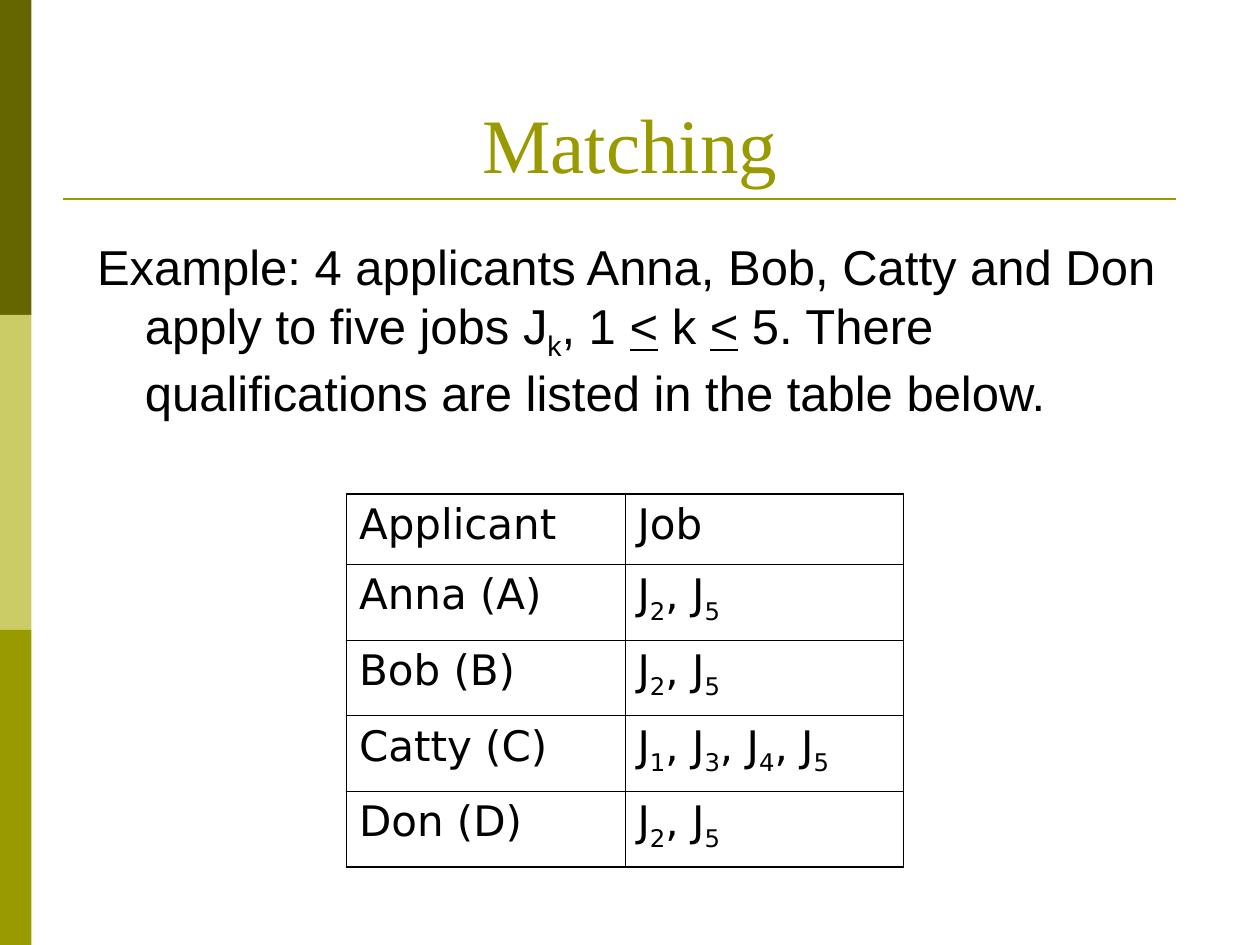
from lxml import etree
from pptx import Presentation
from pptx.dml.color import RGBColor
from pptx.enum.shapes import MSO_CONNECTOR, MSO_SHAPE
from pptx.enum.text import MSO_ANCHOR, MSO_AUTO_SIZE, PP_ALIGN
from pptx.oxml.ns import qn
from pptx.util import Inches, Pt

RECTANGLE = MSO_SHAPE.RECTANGLE
STRAIGHT = MSO_CONNECTOR.STRAIGHT
BLACK = RGBColor(0x00, 0x00, 0x00)
DARK_OLIVE = RGBColor(0x66, 0x66, 0x00)
LIGHT_OLIVE = RGBColor(0xCC, 0xCC, 0x66)
OLIVE = RGBColor(0x99, 0x99, 0x00)

TITLE = "Matching"
PLAIN, SUBSCRIPT, UNDERLINED = "plain", "subscript", "underlined"
EXAMPLE = [
    ("Example: 4 applicants Anna, Bob, Catty and Don apply to five jobs J", PLAIN),
    ("k", SUBSCRIPT),
    (", 1 ", PLAIN),
    ("<", UNDERLINED),
    (" k ", PLAIN),
    ("<", UNDERLINED),
    (" 5. There qualifications are listed in the table below.", PLAIN),
]
HEADERS = ["Applicant", "Job"]
QUALIFICATIONS = [
    ("Anna (A)", [2, 5]),
    ("Bob (B)", [2, 5]),
    ("Catty (C)", [1, 3, 4, 5]),
    ("Don (D)", [2, 5]),
]

TITLE_FONT = {"name": "Times New Roman", "size": Pt(44)}
BODY_FONT = {"name": "Arial", "size": Pt(28)}
TABLE_FONT = {"name": "DejaVu Sans", "size": Pt(24)}
SIDE_BANDS = [DARK_OLIVE, LIGHT_OLIVE, OLIVE]
BAND_WIDTH, BAND_HEIGHT = 0.25, 2.5
COLUMN_WIDTH, HEADER_HEIGHT, ROW_HEIGHT = 2.21, 0.56, 0.6
OUTER_LINE, INNER_LINE = Pt(1.08), Pt(0.45)


def add_runs(paragraph, runs, font_format, color):
    paragraph.space_before = Pt(0)
    for text, style in runs:
        run = paragraph.add_run()
        run.text = text
        for name, value in font_format.items():
            setattr(run.font, name, value)
        run.font.color.rgb = color
        if style == SUBSCRIPT:
            run.font._element.set("baseline", "-25000")
        elif style == UNDERLINED:
            run.font.underline = True


def place(shape, left, top, width, height):
    shape.left, shape.top = Inches(left), Inches(top)
    shape.width, shape.height = Inches(width), Inches(height)


def job_runs(jobs):
    runs = []
    for position, job in enumerate(jobs):
        runs += [(", J" if position else "J", PLAIN), (str(job), SUBSCRIPT)]
    return runs


def set_borders(cell, widths):
    properties = cell._tc.get_or_add_tcPr()
    for position, (side, width) in enumerate(widths.items()):
        line = etree.Element(qn(f"a:ln{side}"), w=str(width))
        fill = etree.SubElement(line, qn("a:solidFill"))
        etree.SubElement(fill, qn("a:srgbClr"), val=str(BLACK))
        properties.insert(position, line)


def add_decoration(slide):
    for position, color in enumerate(SIDE_BANDS):
        band = slide.shapes.add_shape(
            RECTANGLE, 0, Inches(position * BAND_HEIGHT),
            Inches(BAND_WIDTH), Inches(BAND_HEIGHT))
        band.shadow.inherit = False
        band.fill.solid()
        band.fill.fore_color.rgb = color
        band.line.fill.background()
    rule = slide.shapes.add_connector(
        STRAIGHT, Inches(0.5), Inches(1.58), Inches(9.33), Inches(1.58))
    rule.line.color.rgb = OLIVE
    rule.line.width = Pt(1.5)
    etree.SubElement(rule._element.spPr, qn("a:effectLst"))


def add_text(slide):
    title, body = slide.placeholders
    place(title, 0.5, 0.3, 9, 1.25)
    place(body, 0.67, 1.83, 8.67, 5.17)
    for shape, anchor in ((title, MSO_ANCHOR.BOTTOM), (body, MSO_ANCHOR.TOP)):
        shape.text_frame.auto_size = MSO_AUTO_SIZE.NONE
        shape.text_frame.vertical_anchor = anchor

    heading = title.text_frame.paragraphs[0]
    heading.alignment = PP_ALIGN.CENTER
    add_runs(heading, [(TITLE, PLAIN)], TITLE_FONT, OLIVE)

    example = body.text_frame.paragraphs[0]
    properties = example._p.get_or_add_pPr()
    properties.set("marL", str(Inches(0.38)))
    properties.set("indent", str(Inches(-0.38)))
    etree.SubElement(properties, qn("a:buNone"))
    add_runs(example, EXAMPLE, BODY_FONT, BLACK)


def add_qualification_table(slide):
    rows = [[[(header, PLAIN)] for header in HEADERS]]
    rows += [[[(name, PLAIN)], job_runs(jobs)] for name, jobs in QUALIFICATIONS]
    heights = [HEADER_HEIGHT] + [ROW_HEIGHT] * len(QUALIFICATIONS)
    last_row, last_column = len(rows) - 1, len(HEADERS) - 1

    table = slide.shapes.add_table(
        len(rows), len(HEADERS), Inches(2.75), Inches(3.92),
        Inches(COLUMN_WIDTH * len(HEADERS)), Inches(sum(heights))).table
    table.first_row = table.horz_banding = False
    for column in table.columns:
        column.width = Inches(COLUMN_WIDTH)
    for r, (cells, height) in enumerate(zip(rows, heights)):
        table.rows[r].height = Inches(height)
        for c, runs in enumerate(cells):
            cell = table.cell(r, c)
            cell.fill.background()
            add_runs(cell.text_frame.paragraphs[0], runs, TABLE_FONT, BLACK)
            outer_sides = {"L": c == 0, "R": c == last_column,
                           "T": r == 0, "B": r == last_row}
            set_borders(cell, {side: OUTER_LINE if outer else INNER_LINE
                               for side, outer in outer_sides.items()})


def main():
    presentation = Presentation()
    presentation.slide_width = Inches(10)
    presentation.slide_height = Inches(7.5)
    slide = presentation.slides.add_slide(presentation.slide_layouts[1])
    add_decoration(slide)
    add_text(slide)
    add_qualification_table(slide)
    presentation.save("out.pptx")


if __name__ == "__main__":
    main()
